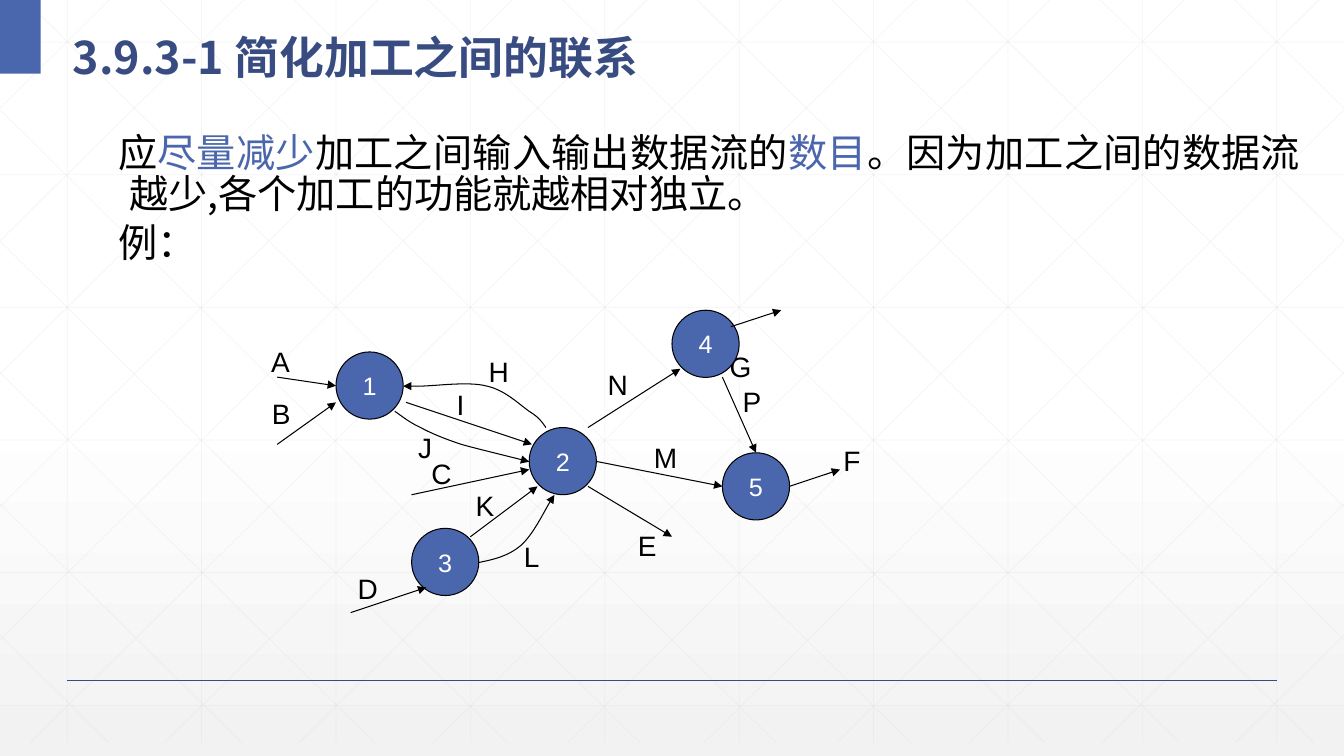
"""Build the slide on simplifying the links between processes."""
from dataclasses import dataclass

from lxml import etree
from pptx import Presentation
from pptx import util as u
from pptx.dml.color import RGBColor
from pptx.enum import shapes, text
from pptx.oxml.ns import qn

BLUE = RGBColor(0x4A, 0x66, 0xAC)
NAVY = RGBColor(0x38, 0x4C, 0x81)
BLACK = RGBColor(0, 0, 0)
WHITE = RGBColor(0xFF, 0xFF, 0xFF)
PALE = RGBColor(0xF2, 0xF2, 0xF2)
GRID = RGBColor(0xD9, 0xD9, 0xD9)
CJK = "Noto Sans CJK SC"
LATIN = "Arial"
WIDTH, HEIGHT, GRID_BOTTOM = 960, 540, 530.6
SLOPE = 0.989
NODE_SIZE = 48

Point = tuple[float, float]


@dataclass
class Node:
    name: str
    left: float
    top: float


@dataclass
class Flow:
    name: str
    label: Point
    points: list[Point]


NODES = [
    Node("1", 240, 251.4), Node("2", 378, 305.4), Node("3", 294, 377.4),
    Node("5", 516, 323.4), Node("4", 480, 221.6),
]

FLOWS = [
    Flow("A", (186.5, 242.6), [(198, 269.4), (240, 275.6)]),
    Flow("B", (187.2, 280), [(198, 317.4), (240, 287.4)]),
    Flow("C", (301, 322.6), [(294, 353.4), (378, 335.4)]),
    Flow("D", (248.4, 404.6), [(250.5, 437.6), (304.5, 419.6)]),
    Flow("E", (448.6, 373.7), [(420, 347.4), (480, 383.4)]),
    Flow("F", (595.4, 313.2), [(564, 347.4), (600, 335.4)]),
    Flow("G", (514, 246.2), [(522, 233.4), (558, 221.6)]),
    Flow("H", (342, 249.8), [
        (390, 305.4), (387.4, 301.7), (385.2, 298.1), (378, 293.8),
        (370.8, 288.7), (360.7, 278.6), (347.8, 275.8),
        (334.8, 272.2), (310.3, 275.8), (300.2, 275.8),
        (290.2, 275.8), (290.2, 275.8), (288, 275.8)]),
    Flow("I", (319, 273.6), [(290, 287.4), (380, 317.4)]),
    Flow("J", (291.6, 303.8), [
        (282, 293.8), (287.3, 297.4), (292.3, 301.7), (300.2, 305.3),
        (308.2, 309.6), (316.8, 313.2), (329.8, 317.5),
        (342.7, 321.1), (370.1, 327.6), (378, 329.8)]),
    Flow("K", (332.6, 345.6), [(336, 383.4), (384, 347.4)]),
    Flow("L", (367.2, 381.6), [
        (342, 401.8), (352.8, 399.6), (362.9, 397.4), (372.2, 389.5),
        (380.9, 381.6), (391.7, 359.3), (396, 353.5)]),
    Flow("M", (460, 311), [(426, 329.6), (516, 347.4)]),
    Flow("N", (427, 259.2), [(420, 305.4), (486, 263.4)]),
    Flow("P", (523.4, 271.4), [(516, 269.4), (540, 323.4)]),
]

BODY = [
    [("应", BLACK), ("尽量减少", BLUE), ("加工之间输入输出数据流的", BLACK),
     ("数目", BLUE),
     ("。因为加工之间的数据流越少,各个加工的功能就越相对独立。", BLACK)],
    [("例：", BLACK)],
]


def style_run(r, size: float, color: RGBColor, font: str, bold: bool = False) -> None:
    """Set size, colour and typefaces of a run."""
    r.font.size = u.Pt(size)
    r.font.color.rgb = color
    r.font.bold = bold
    r.font.name = font
    if font == CJK:
        ea = etree.SubElement(r.font._element, qn("a:ea"))
        ea.set("typeface", font)


def add_box(s, left: float, top: float, width: float, height: float):
    """Add a wrapping text box and return its text frame."""
    sp = s.shapes.add_textbox(u.Pt(left), u.Pt(top), u.Pt(width), u.Pt(height))
    sp.text_frame.word_wrap = True
    return sp.text_frame


def add_line(s, start: Point, end: Point, color: RGBColor, width: float):
    """Add a straight connector without a shadow."""
    sp = s.shapes.add_connector(
        shapes.MSO_CONNECTOR.STRAIGHT, *(u.Pt(v) for v in (*start, *end)))
    sp.line.color.rgb = color
    sp.line.width = u.Pt(width)
    etree.SubElement(sp.element.spPr, qn("a:effectLst"))
    return sp


def add_grid_line(s, start: Point, end: Point) -> None:
    """Add one faint line of the background pattern."""
    sp = add_line(s, start, end, GRID, 0.5)
    color = sp.element.find(".//" + qn("a:srgbClr"))
    etree.SubElement(color, qn("a:alpha")).set("val", "25000")


def add_pattern(s) -> None:
    """Draw the square grid and its mirrored diagonals."""
    for i in range(10):
        add_grid_line(s, (48 + 96 * i, 0), (48 + 96 * i, GRID_BOTTOM))
    for i in range(6):
        y = 30 + 94.75 * i
        add_grid_line(s, (0, y), (WIDTH, y))
    starts = [(18 + 96 * i, 0) for i in range(10)]
    starts += [(0, 78.4 + 93.8 * i) for i in range(5)]
    for x, y in starts:
        run = min(WIDTH - x, (GRID_BOTTOM - y) / SLOPE)
        end_x, end_y = x + run, y + run * SLOPE
        add_grid_line(s, (x, y), (end_x, end_y))
        add_grid_line(s, (WIDTH - x, y), (WIDTH - end_x, end_y))


def add_curve(s, points: list[Point]):
    """Add an open outline of cubic curves, three points to each."""
    (x, y), *rest = [(u.Pt(px), u.Pt(py)) for px, py in points]
    builder = s.shapes.build_freeform(x, y)
    builder.add_line_segments(rest, close=False)
    sp = builder.convert_to_shape()
    sp.fill.background()
    sp.shadow.inherit = False
    sp.line.color.rgb = BLACK
    sp.line.width = u.Pt(0.75)
    steps = sp.element.findall(".//" + qn("a:lnTo"))
    for i in range(0, len(steps), 3):
        steps[i].tag = qn("a:cubicBezTo")
        for extra in steps[i + 1:i + 3]:
            steps[i].append(extra[0])
            extra.getparent().remove(extra)
    return sp


def add_flow(s, flow: Flow) -> None:
    """Draw a data flow as a straight or curved arrow."""
    if len(flow.points) == 2:
        sp = add_line(s, *flow.points, BLACK, 0.75)
    else:
        sp = add_curve(s, flow.points)
    ln = sp.element.find(".//" + qn("a:ln"))
    etree.SubElement(ln, qn("a:tailEnd")).set("type", "triangle")


def add_label(s, flow: Flow) -> None:
    """Write the name of a data flow."""
    tf = add_box(s, *flow.label, 30.2, 31)
    tf.text = flow.name
    style_run(tf.paragraphs[0].runs[0], 20, BLACK, LATIN)


def add_node(s, node: Node) -> None:
    """Draw a numbered process."""
    sp = s.shapes.add_shape(
        shapes.MSO_SHAPE.FLOWCHART_CONNECTOR, u.Pt(node.left), u.Pt(node.top),
        u.Pt(NODE_SIZE), u.Pt(NODE_SIZE))
    sp.shadow.inherit = False
    sp.fill.solid()
    sp.fill.fore_color.rgb = BLUE
    sp.line.color.rgb = BLACK
    sp.line.width = u.Pt(0.75)
    tf = sp.text_frame
    tf.text = node.name
    tf.word_wrap = False
    tf.vertical_anchor = text.MSO_ANCHOR.MIDDLE
    p = tf.paragraphs[0]
    p.alignment = text.PP_ALIGN.CENTER
    style_run(p.runs[0], 18, WHITE, LATIN)


def add_frame(s) -> None:
    """Set the background, corner bar, footer rule and title."""
    fill = s.background.fill
    fill.gradient()
    fill.gradient_angle = 270
    for stop, (position, color) in zip(fill.gradient_stops, [(0.53, WHITE), (1, PALE)]):
        stop.position = position
        stop.color.rgb = color
    add_pattern(s)
    add_line(s, (48, 486), (912, 486), NAVY, 1)
    sp = s.shapes.add_shape(shapes.MSO_SHAPE.RECTANGLE, 0, 0, u.Pt(29), u.Pt(52.6))
    sp.shadow.inherit = False
    sp.fill.solid()
    sp.fill.fore_color.rgb = BLUE
    sp.line.fill.background()
    tf = add_box(s, 45, 8.6, 840, 52.6)
    tf.text = "3.9.3-1 简化加工之间的联系"
    tf.vertical_anchor = text.MSO_ANCHOR.MIDDLE
    tf.paragraphs[0].line_spacing = 1.3
    style_run(tf.paragraphs[0].runs[0], 32, NAVY, CJK, True)


def add_body(s) -> None:
    """Write the advice and the lead-in to the example."""
    tf = add_box(s, 58.3, 88.6, 877.7, 157)
    tf.margin_top = u.Pt(8)
    for i, parts in enumerate(BODY):
        p = tf.add_paragraph() if i else tf.paragraphs[0]
        p.alignment = text.PP_ALIGN.JUSTIFY
        p.line_spacing = u.Pt(29)
        p.space_before = u.Pt(5.6 if i else 0)
        p._p.get_or_add_pPr().set("marL", str(u.Pt(27)))
        p._p.get_or_add_pPr().set("indent", str(u.Pt(-8)))
        for words, color in parts:
            r = p.add_run()
            r.text = words
            style_run(r, 28, color, CJK)


def main() -> None:
    """Assemble and save the slide."""
    prs = Presentation()
    prs.slide_width, prs.slide_height = u.Pt(WIDTH), u.Pt(HEIGHT)
    s = prs.slides.add_slide(prs.slide_layouts[6])
    add_frame(s)
    add_body(s)
    for items, draw in ((FLOWS, add_label), (NODES, add_node), (FLOWS, add_flow)):
        for item in items:
            draw(s, item)
    prs.save("out.pptx")


if __name__ == "__main__":
    main()
